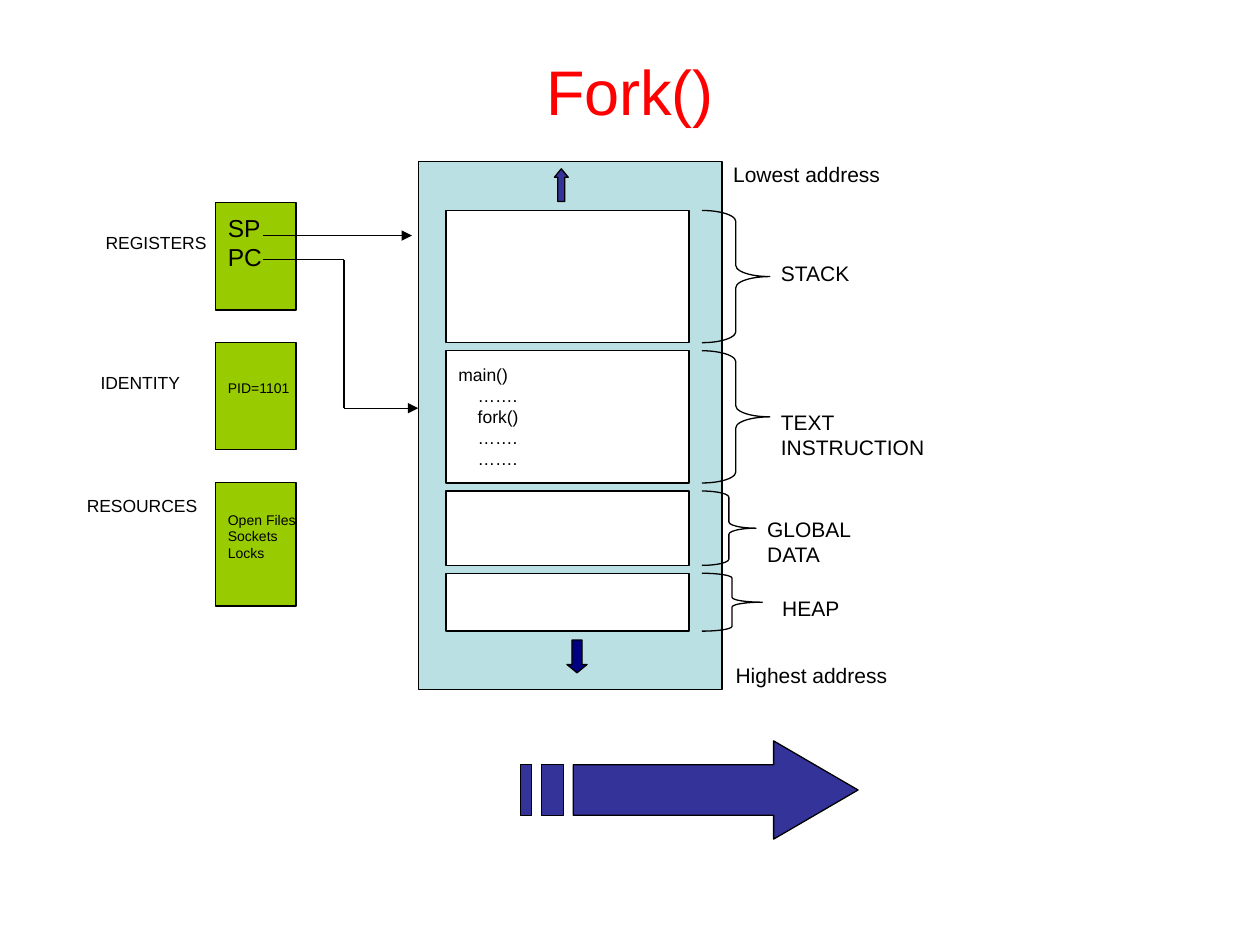
from lxml import etree
from pptx import Presentation
from pptx.dml.color import RGBColor
from pptx.enum.shapes import MSO_CONNECTOR, MSO_SHAPE
from pptx.enum.text import MSO_ANCHOR, PP_ALIGN
from pptx.oxml.ns import qn
from pptx.util import Inches, Pt

RECTANGLE = MSO_SHAPE.RECTANGLE
RIGHT_BRACE = MSO_SHAPE.RIGHT_BRACE
UP_ARROW = MSO_SHAPE.UP_ARROW
DOWN_ARROW = MSO_SHAPE.DOWN_ARROW
STRAIGHT = MSO_CONNECTOR.STRAIGHT
MIDDLE = MSO_ANCHOR.MIDDLE
LEFT = PP_ALIGN.LEFT
CENTER = PP_ALIGN.CENTER

BLACK = RGBColor(0x00, 0x00, 0x00)
WHITE = RGBColor(0xFF, 0xFF, 0xFF)
RED = RGBColor(0xFF, 0x00, 0x00)
PALE_TEAL = RGBColor(0xBB, 0xE0, 0xE3)
GREEN = RGBColor(0x99, 0xCC, 0x00)
INDIGO = RGBColor(0x33, 0x33, 0x99)
NAVY = RGBColor(0x00, 0x00, 0x80)

FONT = "Arial"
LINE_WIDTH = Pt(0.75)
LINE_HEIGHT = 1.15

SEGMENT_TOP = 1.67
SEGMENT_BOTTOM = 5.01
CODE = ["main()", "    …….", "    fork()", "    …….", "    ……."]
SEGMENTS = [
    (1.05, 0.54, []),
    (1.05, 0.54, CODE),
    (0.59, 0.43, []),
    (0.46, 0.48, []),
]

STATE_TOP = 1.61
STATE_GAP = 0.26
STATES = [
    (0.85, ["SP", "PC"], 14),
    (0.85, ["PID=1101"], 8),
    (0.98, ["Open Files", "Sockets", "Locks"], 8),
]

LABELS = [
    (6.1, 2.02, 0.8, 0.3, ["STACK"], 12),
    (6.1, 3.2, 1.4, 0.5, ["TEXT", "INSTRUCTION"], 12),
    (5.99, 4.05, 0.95, 0.5, ["GLOBAL", "DATA"], 12),
    (6.11, 4.68, 0.75, 0.3, ["HEAP"], 12),
    (5.72, 1.23, 1.45, 0.3, ["Lowest address"], 12),
    (5.74, 5.21, 1.5, 0.3, ["Highest address"], 12),
    (0.74, 1.79, 1.05, 0.27, ["REGISTERS"], 10),
    (0.7, 2.9, 0.9, 0.27, ["IDENTITY"], 10),
    (0.59, 3.88, 1.15, 0.27, ["RESOURCES"], 10),
]

POINTERS = [
    (2.09, 1.87, 3.27, 1.87, True),
    (2.09, 2.06, 2.73, 2.06, False),
    (2.73, 2.06, 2.73, 3.24, False),
    (2.73, 3.24, 3.32, 3.24, True),
]

OUTLINE_UNIT = Inches(0.01)
ARROW_OUTLINE = [
    (455, 607), (614, 607), (614, 588), (681, 627),
    (614, 666), (614, 647), (455, 647),
]
STRIPES = [(413, 422), (430, 447)]


def write_lines(frame, lines, size, color=BLACK, align=LEFT):
    for index, line in enumerate(lines):
        para = frame.add_paragraph() if index else frame.paragraphs[0]
        para.text = line
        para.alignment = align
        para.font.name = FONT
        para.font.size = Pt(size)
        para.font.color.rgb = color


def style_shape(shape, fill):
    shape.shadow.inherit = False
    if fill is None:
        shape.fill.background()
    else:
        shape.fill.solid()
        shape.fill.fore_color.rgb = fill
    shape.line.color.rgb = BLACK
    shape.line.width = LINE_WIDTH


def add_figure(page, kind, left, top, width, height, fill=None):
    figure = page.shapes.add_shape(
        kind, Inches(left), Inches(top), Inches(width), Inches(height))
    style_shape(figure, fill)
    return figure


def fill_box(box, lines, size):
    frame = box.text_frame
    frame.word_wrap = False
    frame.vertical_anchor = MIDDLE
    write_lines(frame, lines, size)


def add_label(page, left, top, width, height, lines, size):
    box = page.shapes.add_textbox(
        Inches(left), Inches(top), Inches(width), Inches(height))
    box.text_frame.word_wrap = True
    write_lines(box.text_frame, lines, size)


def add_pointer(page, x1, y1, x2, y2, has_head):
    pointer = page.shapes.add_connector(
        STRAIGHT, Inches(x1), Inches(y1), Inches(x2), Inches(y2))
    pointer.line.color.rgb = BLACK
    pointer.line.width = LINE_WIDTH
    if has_head:
        line = pointer.line._get_or_add_ln()
        etree.SubElement(line, qn("a:tailEnd"), type="triangle")
    etree.SubElement(pointer._element.spPr, qn("a:effectLst"))


def add_segments(page):
    filled = sum(height for height, _, _ in SEGMENTS)
    gap = (SEGMENT_BOTTOM - SEGMENT_TOP - filled) / (len(SEGMENTS) - 1)
    top = SEGMENT_TOP
    for height, brace_width, lines in SEGMENTS:
        segment = add_figure(page, RECTANGLE, 3.54, top, 1.93, height, WHITE)
        if lines:
            fill_box(segment, lines, 10)
        brace = add_figure(page, RIGHT_BRACE, 5.57, top, brace_width, height)
        brace.adjustments[0] = height / 12 / min(brace_width, height)
        top += height + gap


def add_states(page):
    top = STATE_TOP
    for height, lines, size in STATES:
        box = add_figure(page, RECTANGLE, 1.71, top, 0.64, height, GREEN)
        fill_box(box, lines, size)
        box.text_frame.margin_bottom = Inches(0.05) + Pt(size * LINE_HEIGHT)
        top += height + STATE_GAP


def add_growth_arrow(page, kind, left, top, width, fill, head):
    arrow = add_figure(page, kind, left, top, width, 0.26, fill)
    arrow.adjustments[0] = 0.5
    arrow.adjustments[1] = head


def add_striped_arrow(page):
    stripes = [[(left, 607), (right, 607), (right, 647), (left, 647)]
               for left, right in STRIPES]
    start, *rest = ARROW_OUTLINE
    builder = page.shapes.build_freeform(*start, scale=OUTLINE_UNIT)
    builder.add_line_segments(rest, close=True)
    for start, *rest in stripes:
        builder.move_to(*start)
        builder.add_line_segments(rest, close=True)
    style_shape(builder.convert_to_shape(), INDIGO)


def add_title(page):
    title = page.shapes.title
    title.left, title.top = Inches(0.5), Inches(0.21)
    title.width, title.height = Inches(9), Inches(1.01)
    title.text_frame.vertical_anchor = MIDDLE
    write_lines(title.text_frame, ["Fork()"], 36, RED, CENTER)


def main():
    deck = Presentation()
    deck.slide_width = Inches(10)
    deck.slide_height = Inches(7.5)
    page = deck.slides.add_slide(deck.slide_layouts[5])
    add_title(page)
    add_figure(page, RECTANGLE, 3.32, 1.28, 2.41, 4.19, PALE_TEAL)
    add_segments(page)
    add_growth_arrow(page, UP_ARROW, 4.4, 1.34, 0.11, INDIGO, 0.61)
    add_growth_arrow(page, DOWN_ARROW, 4.5, 5.08, 0.16, NAVY, 0.41)
    add_states(page)
    for pointer in POINTERS:
        add_pointer(page, *pointer)
    for label in LABELS:
        add_label(page, *label)
    add_striped_arrow(page)
    deck.save("out.pptx")


if __name__ == "__main__":
    main()
